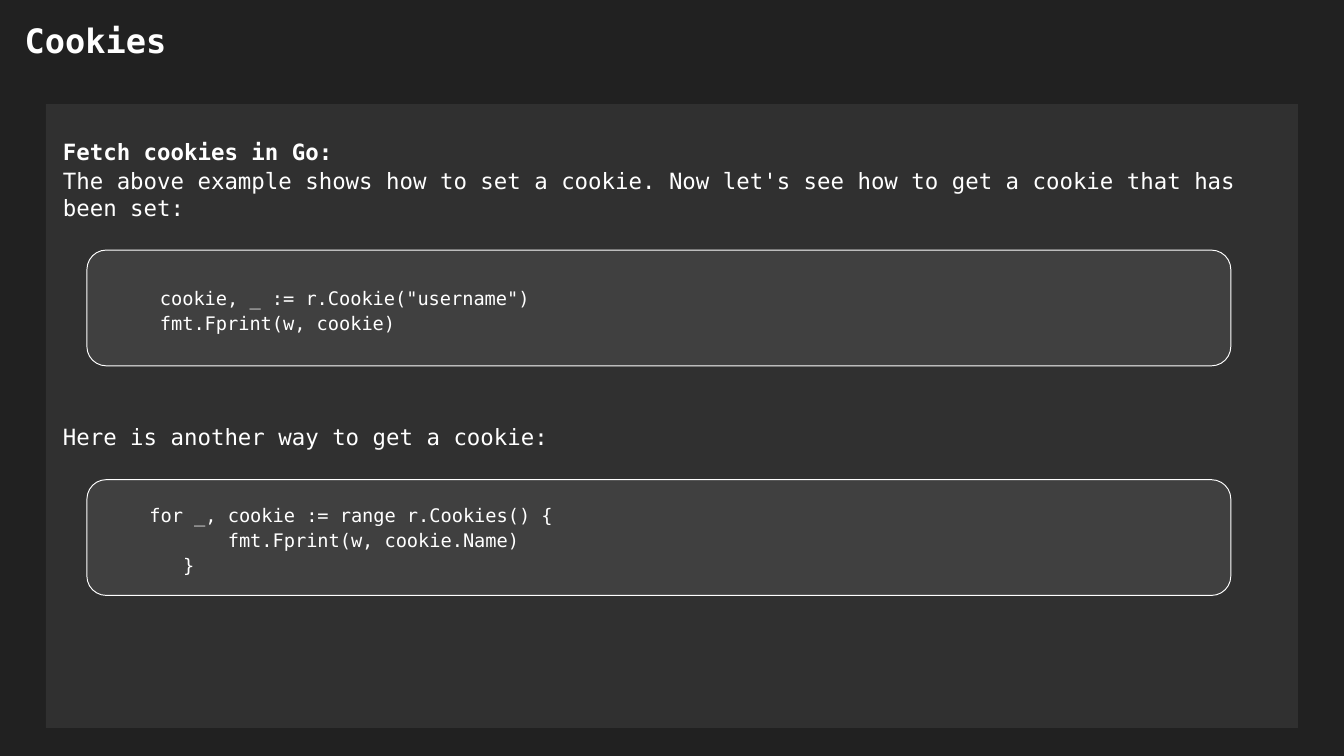
from pptx import Presentation
from pptx.dml.color import RGBColor
from pptx.enum.shapes import MSO_SHAPE as Preset
from pptx.enum.text import MSO_ANCHOR as Anchor, MSO_AUTO_SIZE as AutoSize, PP_ALIGN as Align
from pptx.util import Pt

COLORS = {
    "background": "212121",
    "panel": "303030",
    "code": "404040",
    "white": "FFFFFF",
}
FONT = "DejaVu Sans Mono"
PLAIN_MARGINS = (0.7, 0.7, 0, 0)
CODE_MARGINS = (7.9, 3.6, 7.2, 3.6)
LINE_GAP = 1.3


def color(name):
    """Return the named colour of the palette."""
    return RGBColor.from_string(COLORS[name])


def place(shape, left, top, width, height):
    """Move and size a shape, in points."""
    shape.left, shape.top = Pt(left), Pt(top)
    shape.width, shape.height = Pt(width), Pt(height)


def write(shape, lines, size=12, bold_lines=(), margins=PLAIN_MARGINS):
    """Fill a shape with one left-aligned paragraph per line."""
    frame = shape.text_frame
    frame.word_wrap = True
    frame.auto_size = AutoSize.NONE
    frame.vertical_anchor = Anchor.TOP
    (frame.margin_left, frame.margin_top,
     frame.margin_right, frame.margin_bottom) = map(Pt, margins)
    for index, line in enumerate(lines):
        para = frame.add_paragraph() if index else frame.paragraphs[0]
        para.alignment = Align.LEFT
        para.space_before = Pt(LINE_GAP if index else 0)
        span = para.add_run()
        span.text = line
        span.font.name = FONT
        span.font.size = Pt(size)
        span.font.bold = index in bold_lines
        span.font.color.rgb = color("white")


def add_text(page, bounds, lines, **style):
    """Add a text box holding the given lines."""
    box = page.shapes.add_textbox(*map(Pt, bounds))
    write(box, lines, **style)


def add_block(page, preset, bounds, fill, outline=None):
    """Add a filled shape, outlined when a line colour is given."""
    block = page.shapes.add_shape(preset, *map(Pt, bounds))
    block.shadow.inherit = False
    block.fill.solid()
    block.fill.fore_color.rgb = color(fill)
    if outline:
        block.line.color.rgb = color(outline)
        block.line.width = Pt(0.5)
    else:
        block.line.fill.background()


def add_code(page, top, text_bounds, lines):
    """Add a rounded code block with its listing."""
    add_block(page, Preset.ROUNDED_RECTANGLE, (46.6, top, 612.8, 62), "code", "white")
    add_text(page, text_bounds, lines, size=10, margins=CODE_MARGINS)


def main():
    """Build the cookies slide."""
    deck = Presentation()
    deck.slide_width, deck.slide_height = Pt(720), Pt(405)
    page = deck.slides.add_slide(deck.slide_layouts[5])
    page.background.fill.solid()
    page.background.fill.fore_color.rgb = color("background")

    title = page.shapes.title
    place(title, 12.5, 9.8, 695, 46)
    write(title, ["Cookies"], size=18, bold_lines=(0,))

    add_block(page, Preset.RECTANGLE, (24.6, 55.8, 670.8, 334.2), "panel")
    add_text(page, (33, 73.3, 654.5, 48), [
        "Fetch cookies in Go:",
        "The above example shows how to set a cookie. "
        "Now let's see how to get a cookie that has been set:",
    ], bold_lines=(0,))
    add_text(page, (33, 226.2, 654.5, 20), ["Here is another way to get a cookie:"])

    add_code(page, 134, (77.8, 150.3, 573, 32), [
        'cookie, _ := r.Cookie("username")',
        "fmt.Fprint(w, cookie)",
    ])
    add_code(page, 257, (66.2, 266.3, 573, 45), [
        " for _, cookie := range r.Cookies() {",
        "        fmt.Fprint(w, cookie.Name)",
        "    }",
    ])
    deck.save("out.pptx")


if __name__ == "__main__":
    main()
